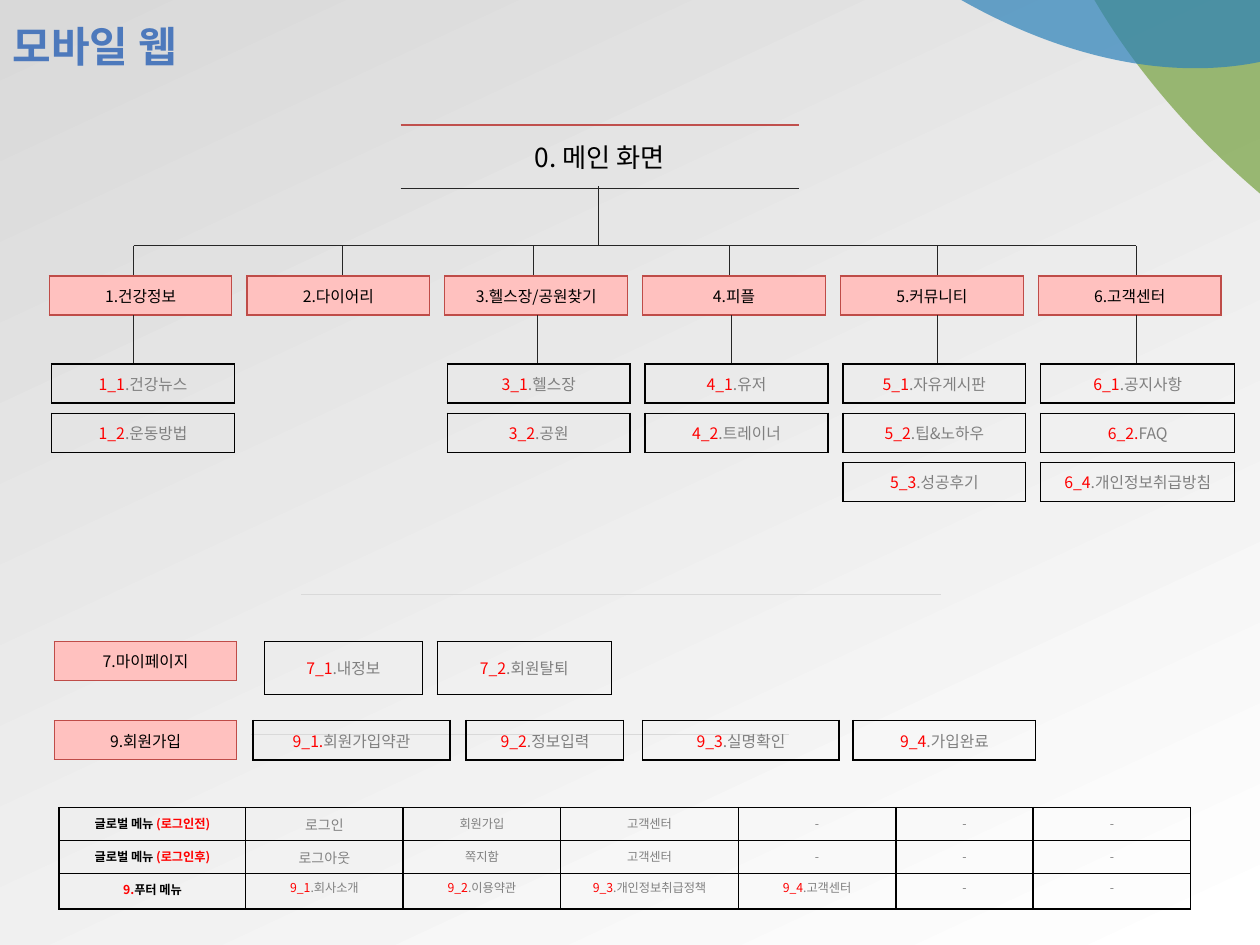
from lxml.etree import SubElement
from pptx import Presentation
from pptx.dml.color import RGBColor as RGB
from pptx.enum.shapes import MSO_CONNECTOR as LINE, MSO_SHAPE as SHAPE
from pptx.enum.text import MSO_ANCHOR as ANCHOR, PP_ALIGN as ALIGN
from pptx.oxml.ns import qn
from pptx.util import Inches, Pt

FONT = "Noto Sans CJK KR"
COLORS = {
    "title": "4D79BC", "black": "000000", "red": "FF0000", "gray": "808080",
    "pink": "FFC1BF", "edge": "BF4C48", "rule": "C0504D", "dark": "262626",
    "pale": "D9D9D9", "white": "FFFFFF", "green": "75A13F", "blue": "2B81B9",
}
# heading, x of the line above, x of the line below, sub menus
MENU = [
    ("1.건강정보", 1.06, 1.06, ["1_1|.건강뉴스", "1_2|.운동방법"]),
    ("2.다이어리", 2.72, None, []),
    ("3.헬스장/공원찾기", 4.23, 4.26, ["3_1|.헬스장", "3_2|.공원"]),
    ("4.피플", 5.79, 5.8, ["4_1|.유저", "4_2|.트레이너"]),
    ("5.커뮤니티", 7.44, 7.44, ["5_1|.자유게시판", "5_2|.팁&노하우", "5_3|.성공후기"]),
    ("6.고객센터", 9.02, 9.02, ["6_1|.공지사항", "6_2.|FAQ", "6_4|.개인정보취급방침"]),
]
# heading, y, height of steps, edge width, steps as (text, x, width)
FLOWS = [
    ("7.마이페이지", 5.09, 0.42, 0.75,
     [("7_1|.내정보", 2.1, 1.25), ("7_2|.회원탈퇴", 3.47, 1.38)]),
    ("9.회원가입", 5.72, 0.31, 1,
     [("9_1.|회원가입약관", 2.01, 1.56), ("9_2|.정보입력", 3.7, 1.25),
      ("9_3|.실명확인", 5.1, 1.56), ("9_4|.가입완료", 6.77, 1.45)]),
]
FOOTER = [
    ["글로벌 메뉴 |(로그인전)", "로그인", "회원가입", "고객센터", "-", "-", "-"],
    ["글로벌 메뉴 |(로그인후)", "로그아웃", "쪽지함", "고객센터", "-", "-", "-"],
    ["9.|푸터 메뉴", "9_1|.회사소개", "9_2|.이용약관", "9_3|.개인정보취급정책",
     "9_4|.고객센터", "-", "-"],
]
BOX_W, BOX_H, STEP = 1.45, 0.31, 1.57


def rgb(name):
    return RGB.from_string(COLORS[name])


def style_run(run, size, color, bold=False, font=FONT):
    run.font.size = Pt(size)
    run.font.bold = bold
    run.font.color.rgb = rgb(color)
    run.font.name = font
    SubElement(run.font._element, qn("a:ea"), typeface=FONT)


def write(cell, text, size, colors, bold=False):
    """Fill a cell with parts split at '|', one colour for each part."""
    par = cell.text_frame.paragraphs[0]
    par.alignment = ALIGN.CENTER
    for part, color in zip(text.split("|"), colors):
        run = par.add_run()
        run.text = part
        style_run(run, size, color, bold)


def set_edges(cell, edges):
    """Draw the sides L, R, T, B in order; None hides a side."""
    props = cell._tc.get_or_add_tcPr()
    for side, edge in zip("LRTB", edges):
        line = SubElement(props, qn(f"a:ln{side}"))
        if edge is None:
            line.set("w", "0")
            SubElement(line, qn("a:noFill"))
            continue
        color, width = edge
        line.set("w", str(Pt(width)))
        fill = SubElement(line, qn("a:solidFill"))
        SubElement(fill, qn("a:srgbClr"), val=COLORS[color])


def set_cell(cell, edges, pad_x, pad_y, fill=None):
    set_edges(cell, edges)
    cell.margin_left = cell.margin_right = Inches(pad_x)
    cell.margin_top = cell.margin_bottom = Inches(pad_y)
    if fill:
        cell.fill.solid()
        cell.fill.fore_color.rgb = rgb(fill)
    else:
        cell.fill.background()


def add_grid(slide, x, y, cols, rows):
    frame = slide.shapes.add_table(len(rows), len(cols), Inches(x), Inches(y),
                                   Inches(sum(cols)), Inches(sum(rows)))
    table = frame.table
    table.first_row = table.horz_banding = False
    for col, width in zip(table.columns, cols):
        col.width = Inches(width)
    for row, height in zip(table.rows, rows):
        row.height = Inches(height)
    return table


def add_box(slide, text, x, y, w=BOX_W, h=BOX_H, edge=("black", 1)):
    """Add a one-cell table: pink for a heading, clear for a split label."""
    cell = add_grid(slide, x, y, [w], [h]).cell(0, 0)
    if "|" in text:
        set_cell(cell, [edge] * 4, 0.12, 0.06)
        write(cell, text, 9, ["red", "gray"])
    else:
        set_cell(cell, [("edge", 0.75)] * 4, 0.12, 0.06, "pink")
        write(cell, text, 9, ["black"])
    cell.vertical_anchor = ANCHOR.MIDDLE


def add_line(slide, x1, y1, x2, y2, color="dark"):
    line = slide.shapes.add_connector(LINE.STRAIGHT, *map(Inches, (x1, y1, x2, y2)))
    line.line.color.rgb = rgb(color)
    line.line.width = Pt(0.25)
    SubElement(line._element.spPr, qn("a:effectLst"))


def add_oval(slide, x, y, w, h, turn, color):
    oval = slide.shapes.add_shape(SHAPE.OVAL, *map(Inches, (x, y, w, h)))
    oval.rotation = turn
    oval.shadow.inherit = False
    oval.line.fill.background()
    oval.fill.solid()
    oval.fill.fore_color.rgb = rgb(color)
    tint = oval._element.spPr.find(f".//{qn('a:srgbClr')}")
    SubElement(tint, qn("a:alpha"), val="70000")


def add_back(slide):
    fill = slide.background.fill
    fill.gradient()
    fill.gradient_angle = 295
    for stop, color, place in zip(fill.gradient_stops, ("pale", "white"), (0, 1)):
        stop.color.rgb = rgb(color)
        stop.position = place
    add_oval(slide, 7.67, -2.64, 8.33, 4.95, 36.6, "green")
    add_oval(slide, 5.28, -7.65, 5.86, 8.66, 142.1, "blue")


def add_title(slide):
    title = slide.shapes.title
    title.left, title.top, title.width, title.height = map(Inches, (0, 0.01, 9.29, 0.71))
    frame = title.text_frame
    frame.text = "모바일 웹"
    frame.vertical_anchor = ANCHOR.MIDDLE
    frame.paragraphs[0].alignment = ALIGN.LEFT
    style_run(frame.paragraphs[0].runs[0], 24, "title", True, "Arial")


def add_main(slide):
    cell = add_grid(slide, 3.18, 0.99, [3.16], [0.49]).cell(0, 0)
    set_cell(cell, [None, None, ("rule", 1), ("dark", 0.5)], 0.19, 0.1)
    write(cell, "0. 메인 화면", 15, ["black"])


def add_menu(slide):
    add_line(slide, 4.75, 1.48, 4.75, 1.95)
    add_line(slide, MENU[0][1], 1.95, MENU[-1][1], 1.95)
    for i, (head, above, below, subs) in enumerate(MENU):
        add_line(slide, above, 1.95, above, 2.19)
        add_box(slide, head, 0.39 + i * STEP, 2.19)
        if below:
            add_line(slide, below, 2.5, below, 2.89)
        width = 1.54 if i == len(MENU) - 1 else BOX_W
        for j, sub in enumerate(subs):
            add_box(slide, sub, 0.41 + i * STEP, 2.89 + j * 0.39, width)


def add_flows(slide):
    add_line(slide, 2.39, 4.72, 7.47, 4.72, "pale")
    add_line(slide, 1.99, 5.83, 6.26, 5.83, "pale")
    for head, y, height, edge, steps in FLOWS:
        add_box(slide, head, 0.43, y)
        for text, x, width in steps:
            add_box(slide, text, x, y, width, height, ("black", edge))


def add_footer(slide):
    cols = [1.48, 1.25, 1.25, 1.41, 1.25, 1.09, 1.25]
    table = add_grid(slide, 0.47, 6.41, cols, [0.21, 0.21, 0.28])
    for i, row in enumerate(FOOTER):
        for j, text in enumerate(row):
            cell = table.cell(i, j)
            set_cell(cell, [("black", 1)] * 4, 0.09, 0.05)
            if j == 0:
                colors = ["red", "black"] if i == 2 else ["black", "red"]
            else:
                colors = ["red", "gray"] if "|" in text else ["gray"]
            size = 8 if j == 1 and i < 2 else 7
            write(cell, text, size, colors, j == 0)
            if i == 2 and j:
                cell.text_frame.paragraphs[0].line_spacing = 0.9


def main():
    deck = Presentation()
    deck.slide_width, deck.slide_height = Inches(10), Inches(7.5)
    slide = deck.slides.add_slide(deck.slide_layouts[5])
    for add in (add_back, add_title, add_main, add_menu, add_flows, add_footer):
        add(slide)
    deck.save("out.pptx")


if __name__ == "__main__":
    main()
